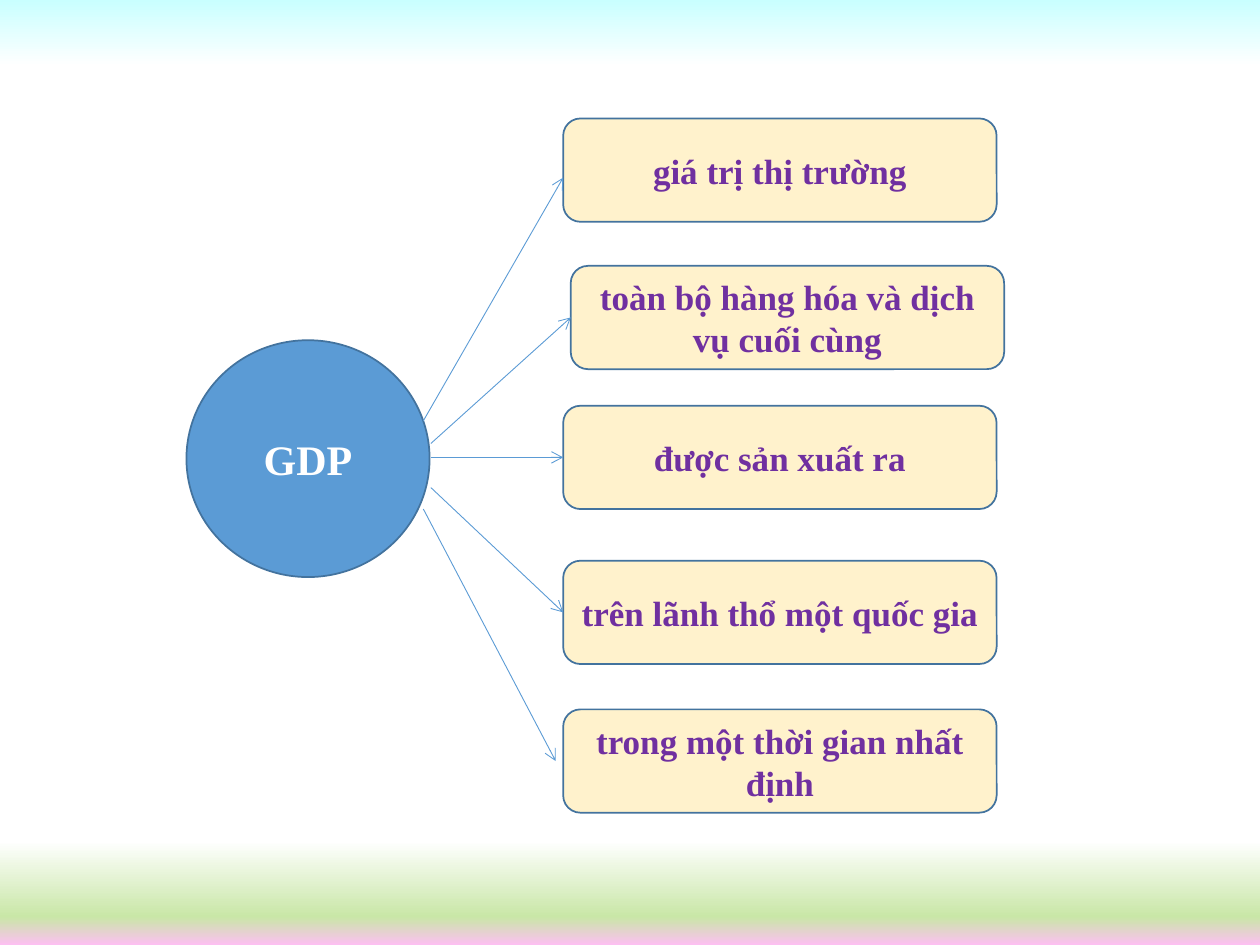
from copy import deepcopy
from dataclasses import dataclass

from pptx import Presentation, util as u
from pptx.dml.color import RGBColor
from pptx.enum import shapes, text
from pptx.oxml.ns import qn
from lxml import etree


@dataclass(frozen=True)
class Theme:
    font: str = "Times New Roman"
    blue: str = "5B9BD5"
    edge: str = "43739E"
    cream: str = "FFF2CC"
    purple: str = "7030A0"
    white: str = "FFFFFF"
    hub: int = 24
    body: int = 20
    sky: tuple = ((0, "C9FFFF"), (0.07, "FFFFFF"), (0.89, "FFFFFF"),
                  (0.97, "C9E7A7"), (1, "FCC0F1"))


T = Theme()
WIDE, HIGH = 10, 7.5
LEFT, BOX_W, BOX_H = 4.47, 3.44, 0.82

# text, box left, box top, arrow start, arrow end
PARTS = (
    ("giá trị thị trường", LEFT, 0.94, (3.36, 3.34), (LEFT, 1.41)),
    ("toàn bộ hàng hóa và dịch vụ cuối cùng", 4.53, 2.11, (3.42, 3.52), (4.53, 2.52)),
    ("được sản xuất ra", LEFT, 3.22, (3.42, 3.63), (LEFT, 3.63)),
    ("trên lãnh thổ một quốc gia", LEFT, 4.45, (3.42, 3.87), (LEFT, 4.86)),
    ("trong một thời gian nhất định", LEFT, 5.63, (3.36, 4.04), (4.41, 6.04)),
)


def rgb(code):
    return RGBColor.from_string(code)


def paint(slide, stops):
    """Fill the background with a gradient that runs from top to bottom."""
    fill = slide.background.fill
    fill.gradient()
    fill.gradient_angle = 270
    group = slide.element.find(".//" + qn("a:gsLst"))
    while len(group) < len(stops):
        group.append(deepcopy(group[0]))
    for stop, (place, code) in zip(fill.gradient_stops, stops):
        stop.position = place
        stop.color.rgb = rgb(code)


def write(shape, words, *, size, color, bold=True):
    frame = shape.text_frame
    frame.word_wrap = True
    frame.vertical_anchor = text.MSO_ANCHOR.MIDDLE
    para = frame.paragraphs[0]
    para.alignment = text.PP_ALIGN.CENTER
    run = para.add_run()
    run.text = words
    font = run.font
    font.name, font.size, font.bold = T.font, u.Pt(size), bold
    font.color.rgb = rgb(color)


def block(slide, kind, area, fill):
    shape = slide.shapes.add_shape(kind, *map(u.Inches, area))
    shape.shadow.inherit = False
    shape.fill.solid()
    shape.fill.fore_color.rgb = rgb(fill)
    shape.line.color.rgb = rgb(T.edge)
    shape.line.width = u.Pt(1)
    return shape


def arrow(slide, start, end):
    link = slide.shapes.add_connector(
        shapes.MSO_CONNECTOR.STRAIGHT, *map(u.Inches, start + end))
    link.line.color.rgb = rgb(T.blue)
    link.line.width = u.Pt(0.5)
    props = link.element.spPr
    etree.SubElement(props.find(qn("a:ln")), qn("a:tailEnd"), type="arrow")
    etree.SubElement(props, qn("a:effectLst"))


def main():
    deck = Presentation()
    deck.slide_width, deck.slide_height = u.Inches(WIDE), u.Inches(HIGH)
    slide = deck.slides.add_slide(deck.slide_layouts[6])
    paint(slide, T.sky)

    kind = shapes.MSO_SHAPE
    hub = block(slide, kind.OVAL, (1.48, 2.7, 1.93, 1.88), T.blue)
    write(hub, "GDP", size=T.hub, color=T.white)
    for words, left, top, start, end in PARTS:
        box = block(slide, kind.ROUNDED_RECTANGLE, (left, top, BOX_W, BOX_H), T.cream)
        write(box, words, size=T.body, color=T.purple)
        arrow(slide, start, end)
    deck.save("out.pptx")


if __name__ == "__main__":
    main()
